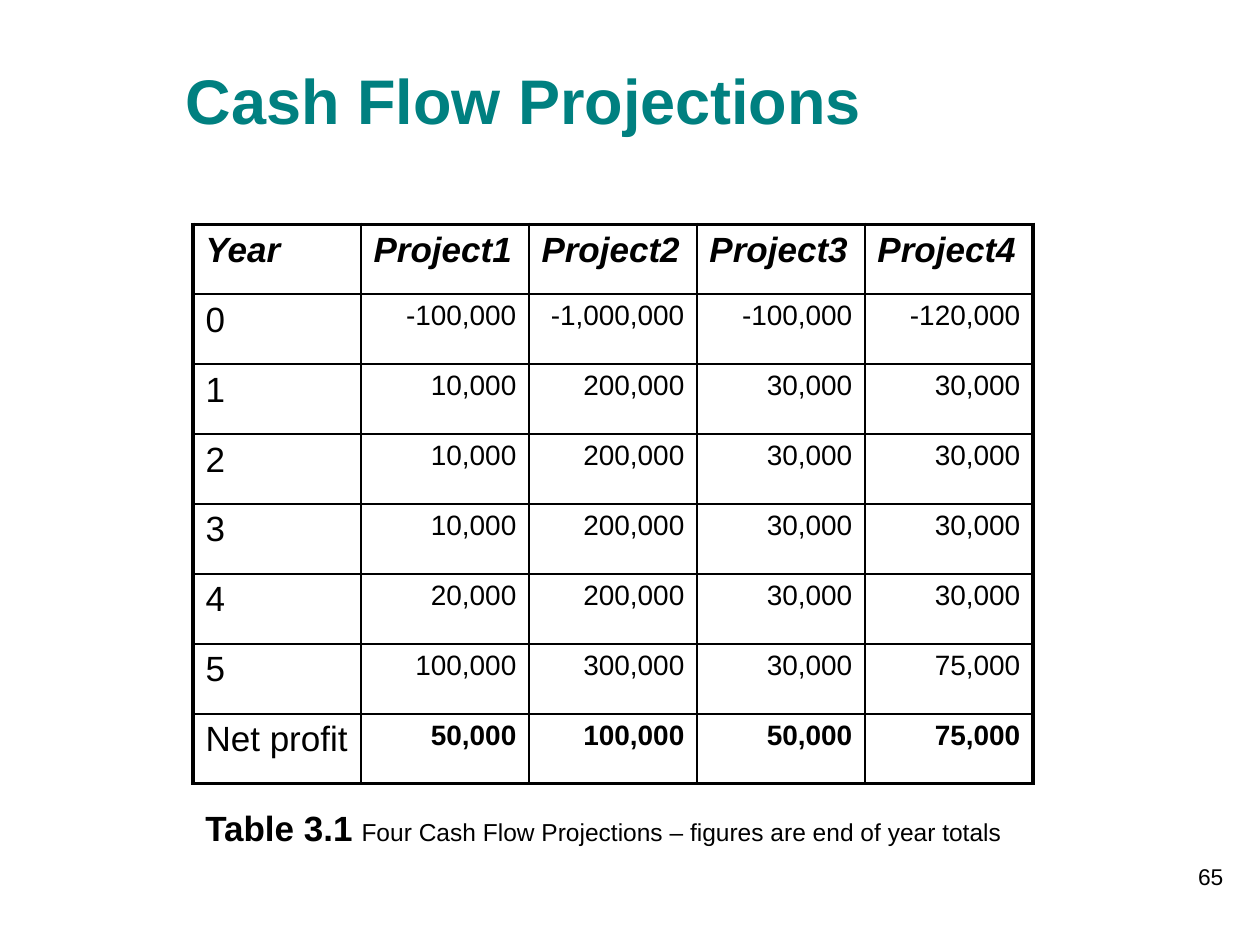
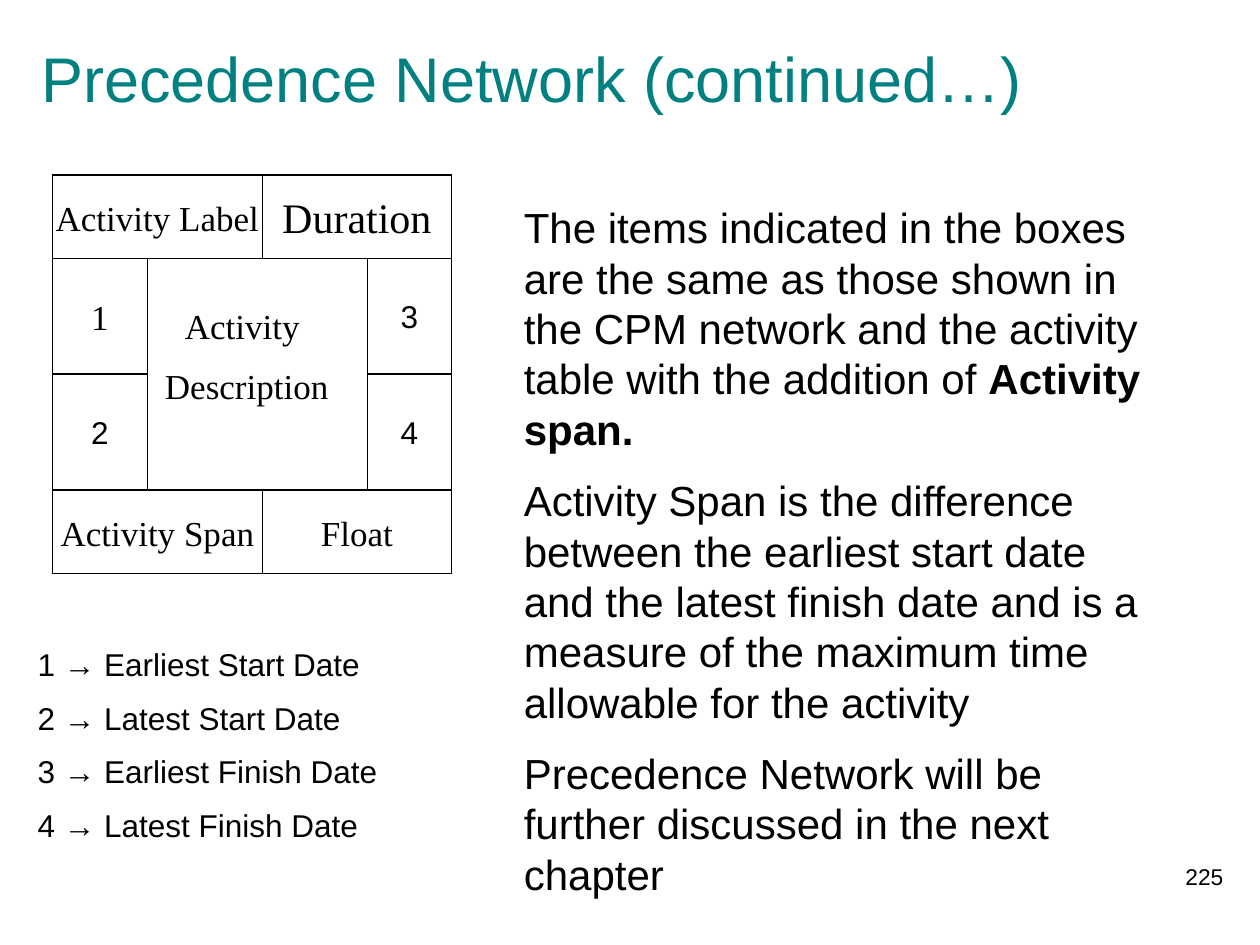
from lxml import etree
from pptx import Presentation
from pptx.dml.color import RGBColor
from pptx.enum.shapes import MSO_SHAPE
from pptx.enum.text import MSO_ANCHOR, PP_ALIGN
from pptx.oxml.ns import qn
from pptx.util import Cm, Pt

LEFT, CENTER, RIGHT = PP_ALIGN.LEFT, PP_ALIGN.CENTER, PP_ALIGN.RIGHT
TOP, MIDDLE = MSO_ANCHOR.TOP, MSO_ANCHOR.MIDDLE
RECTANGLE = MSO_SHAPE.RECTANGLE
COLORS = {"title": "008080", "ink": "000000"}
SANS, SERIF = "Arial", "Times New Roman"
TITLE_SIZE = 36
THIN, THICK = 1, 2.25

PROJECTIONS = [
    ["Year", "Project1", "Project2", "Project3", "Project4"],
    ["0", "-100,000", "-1,000,000", "-100,000", "-120,000"],
    ["1", "10,000", "200,000", "30,000", "30,000"],
    ["2", "10,000", "200,000", "30,000", "30,000"],
    ["3", "10,000", "200,000", "30,000", "30,000"],
    ["4", "20,000", "200,000", "30,000", "30,000"],
    ["5", "100,000", "300,000", "30,000", "75,000"],
    ["Net profit", "50,000", "100,000", "50,000", "75,000"],
]
DATES = ["Earliest Start Date", "Latest Start Date",
         "Earliest Finish Date", "Latest Finish Date"]


def add_span(para, text, size=18, font=SANS, color="ink", bold=False, italic=False):
    span = para.add_run()
    span.text = text
    span.font.size = Pt(size)
    span.font.name = font
    span.font.bold = bold
    span.font.italic = italic
    span.font.color.rgb = RGBColor.from_string(COLORS[color])


def write_paragraphs(frame, paragraphs, align=LEFT, before=0, **style):
    for index, spans in enumerate(paragraphs):
        para = frame.paragraphs[0] if index == 0 else frame.add_paragraph()
        para.alignment = align
        para.space_before = Pt(before)
        for text, changes in spans:
            add_span(para, text, **{**style, **changes})


def add_text(page, paragraphs, left, top, width, height, anchor=TOP, **style):
    box = page.shapes.add_textbox(Cm(left), Cm(top), Cm(width), Cm(height))
    frame = box.text_frame
    frame.word_wrap = True
    frame.vertical_anchor = anchor
    write_paragraphs(frame, paragraphs, **style)


def add_title(page, text, left, top, width, height, **style):
    add_text(page, [[(text, {})]], left, top, width, height,
             size=TITLE_SIZE, color="title", **style)


def add_page_number(page, number):
    add_text(page, [[(str(number), {})]], 19.63, 17.27, 5.28, 1.27,
             align=RIGHT, size=13)


def add_box(page, text, left, top, width, height, **style):
    box = page.shapes.add_shape(RECTANGLE, Cm(left), Cm(top), Cm(width), Cm(height))
    box.shadow.inherit = False
    box.fill.background()
    box.line.color.rgb = RGBColor.from_string(COLORS["ink"])
    box.line.width = Pt(0.75)
    frame = box.text_frame
    frame.word_wrap = False
    frame.vertical_anchor = MIDDLE
    write_paragraphs(frame, [[(text, {})]], align=CENTER, **style)


def set_borders(cell, widths):
    properties = cell._tc.get_or_add_tcPr()
    for side, width in zip("LRTB", widths):
        line = etree.SubElement(properties, qn(f"a:ln{side}"), w=str(Pt(width)))
        fill = etree.SubElement(line, qn("a:solidFill"))
        etree.SubElement(fill, qn("a:srgbClr"), val=COLORS["ink"])


def add_table(page, rows, left, top, width, height):
    last_row, last_column = len(rows) - 1, len(rows[0]) - 1
    frame = page.shapes.add_table(len(rows), len(rows[0]), Cm(left), Cm(top),
                                  Cm(width), Cm(height))
    for r, values in enumerate(rows):
        for c, value in enumerate(values):
            cell = frame.table.cell(r, c)
            edges = (c == 0, c == last_column, r == 0, r == last_row)
            set_borders(cell, [THICK if edge else THIN for edge in edges])
            cell.fill.background()
            header, figure = r == 0, r > 0 and c > 0
            size = 16 if figure else 20
            write_paragraphs(cell.text_frame, [[(value, {})]],
                             align=RIGHT if figure else LEFT, before=size * 0.2,
                             size=size, italic=header,
                             bold=header or (figure and r == last_row))


def build_cash_flow(page):
    add_table(page, PROJECTIONS, 3.89, 4.52, 16.93, 11.28)
    caption = [("Table 3.1", {"size": 20, "bold": True}), (" ", {"size": 18}),
               ("Four Cash Flow Projections – figures are end of year totals", {})]
    add_text(page, [caption], 3.89, 16.13, 17.6, 1.09, size=14, before=10)
    add_title(page, "Cash Flow Projections", 3.5, 1.12, 18, 1.78,
              bold=True, before=18)
    add_page_number(page, 65)


def build_precedence_network(page):
    left, middle, right = 1.06, 5.29, 9.1
    top, upper, center, lower = 3.53, 5.21, 7.54, 9.88
    label_height, date_height = 1.69, 2.33
    for text, x, y, end, size in [
        ("Activity Label", left, top, middle, 20),
        ("Duration", middle, top, right, 24),
        ("Activity Span", left, lower, middle, 20),
        ("Float", middle, lower, right, 20),
    ]:
        add_box(page, text, x, y, end - x, label_height, size=size, font=SERIF)
    add_box(page, "1", left, upper, 1.91, date_height, size=20, font=SERIF)
    for text, x, y, width in [("2", left, center, 1.91),
                              ("3", 7.41, upper, 1.69),
                              ("4", 7.41, center, 1.69)]:
        add_box(page, text, x, y, width, date_height)
    add_text(page, [[("Activity ", {})], [("Description", {})]],
             2.97, 6.02, 4.01, 2.36, align=CENTER, before=10, size=20, font=SERIF)
    explanation = [
        [("The items indicated in the boxes are the same as those shown in the "
          "CPM network and the activity table with the addition of ", {}),
         ("Activity span.", {"bold": True})],
        [("Activity Span is the difference between the earliest start date and "
          "the latest finish date and is a measure of the maximum time allowable "
          "for the activity", {})],
        [("Precedence Network will be further discussed in the next chapter", {})],
    ]
    add_text(page, explanation, 10.31, 3.94, 13.13, 14.63, before=12, size=24)
    add_title(page, "Precedence Network (continued…)", 0.58, 0.38, 20.4, 2.36,
              anchor=MIDDLE)
    legend = [[(f"{number} → {date}", {})] for number, date in enumerate(DATES, 1)]
    add_text(page, legend, 0.51, 12.88, 9.7, 4.47, before=9)
    add_page_number(page, 225)


def main():
    deck = Presentation()
    deck.slide_width, deck.slide_height = Cm(25.4), Cm(19.05)
    blank = deck.slide_layouts[6]
    for build in (build_cash_flow, build_precedence_network):
        build(deck.slides.add_slide(blank))
    deck.save("out.pptx")


if __name__ == "__main__":
    main()
